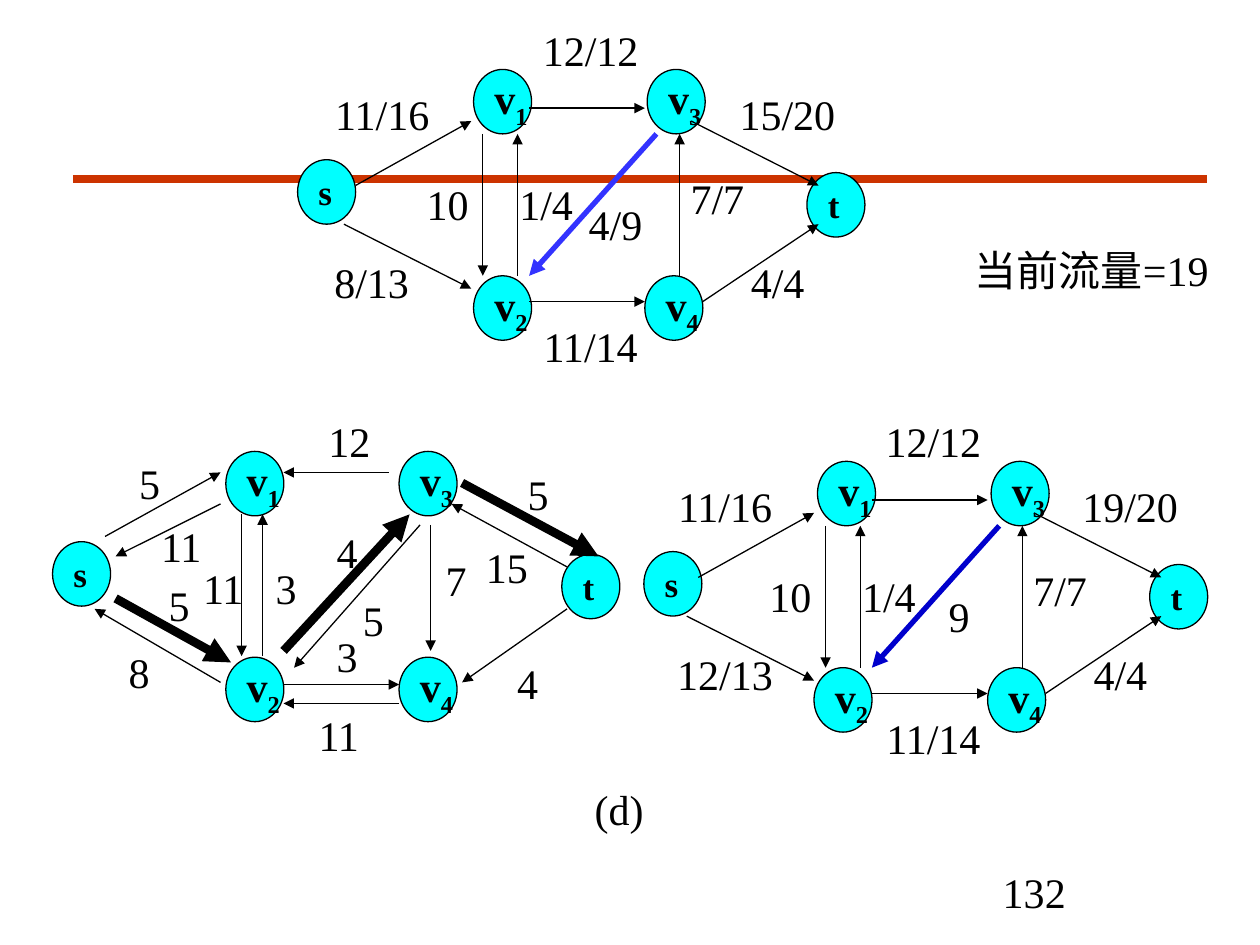
from lxml import etree
from pptx import Presentation
from pptx.dml.color import RGBColor
from pptx.enum.shapes import MSO_CONNECTOR, MSO_SHAPE
from pptx.enum.text import MSO_ANCHOR, MSO_AUTO_SIZE, PP_ALIGN
from pptx.oxml.ns import qn
from pptx.util import Cm, Pt

STRAIGHT, OVAL = MSO_CONNECTOR.STRAIGHT, MSO_SHAPE.OVAL
LEFT, CENTER = PP_ALIGN.LEFT, PP_ALIGN.CENTER
TOP, MIDDLE = MSO_ANCHOR.TOP, MSO_ANCHOR.MIDDLE
FIT, NO_FIT = MSO_AUTO_SIZE.SHAPE_TO_FIT_TEXT, MSO_AUTO_SIZE.NONE

THEME = {
    "font": "Times New Roman", "ink": "000000", "node": "00FFFF", "rule": "CC3300",
    "flow": "3333FF", "new_flow": "0000CC",
    "text": 24, "terminal": 20, "sub": -25000,
    "thin": 0.75, "changed": 3, "path": 5, "divider": 4.5,
}
NODE_W, NODE_H = 1.17, 1.3
LABEL_H = 1.27
INSETS, DIGIT_W, SLASH_W = 0.52, 0.43, 0.24

FLOW_STEP = (10.5 / 45, 4.16 / 16)
FLOW_EDGES = [
    (5, 9, 15, 4), (20, 3, 30, 3), (34, 4, 45, 9), (4, 12, 15, 17),
    (20, 18, 30, 18), (35, 18, 45, 12), (16, 5, 16, 16), (19, 16, 19, 5),
    (33, 16, 33, 5),
]
FLOW_CHANGED = (31, 5, 20, 16)
FLOW_LABEL_AT = [
    (2, 1), (2, 14), (20, -4), (10, 8), (18, 8),
    (37, 1), (38, 14), (32.8, 7.5), (20, 19),
]


def flow_network(origin, xs, capacities, changed, color):
    ys = (7, 16, 16, 8, 0, 0)
    return {
        "origin": origin, "step": FLOW_STEP,
        "nodes": list(zip(("s", "v2", "v4", "t", "v3", "v1"), xs, ys)),
        "edges": [(e, "ink", "thin") for e in FLOW_EDGES] + [(FLOW_CHANGED, color, "changed")],
        "labels": [(t, *at) for t, at in zip(capacities, FLOW_LABEL_AT)] + [changed],
    }


RESIDUAL_THIN = [
    (5, 8.1, 16, 2), (22, 22.2, 33, 22.2), (18, 6, 18, 19.5), (20, 19.5, 20, 6),
    (35, 7, 23, 20.6), (16, 5, 6, 10), (32, 2, 22, 2), (33, 24, 22, 24),
    (36, 7, 36, 19), (49, 15, 39, 22), (49, 11, 38, 5), (16, 22, 4, 15),
]
AUGMENTING_PATH = [(39, 3, 52, 10), (6, 14, 17, 20.1), (22, 19, 34, 6)]

NETWORKS = [
    {
        "origin": (1.06, 9.1), "step": (2.54 / 12, 2.54 / 12),
        "nodes": [("s", 0, 8.6), ("v2", 16.5, 19.6), ("v4", 33, 19.6),
                  ("t", 48.5, 9.8), ("v3", 33, 0), ("v1", 16.5, 0)],
        "edges": [(e, "ink", "thin") for e in RESIDUAL_THIN]
        + [(e, "ink", "path") for e in AUGMENTING_PATH],
        "labels": [
            ("5", 28.3, 13), ("5", 7, 0), ("8", 6, 18), ("11", 13, 10), ("3", 20, 10),
            ("4", 43, 19), ("7", 36.2, 9.2), ("11", 24, 24), ("11", 9, 6), ("12", 25, -4),
            ("4", 25.8, 6.6), ("3", 25.8, 16.5), ("5", 44, 1), ("15", 40, 8),
            ("5", 9.8, 11.6),
        ],
    },
    flow_network((12.91, 9.3), (0.3, 15, 30, 44, 30.3, 15.3),
                 ["11/16", "12/13", "12/12", "10", "1/4", "19/20", "4/4", "7/7", "11/14"],
                 ("9", 25.5, 9.5), "new_flow"),
    flow_network((6, 1.4), (0, 15.2, 30, 44, 30.2, 15.2),
                 ["11/16", "8/13", "12/12", "10", "1/4", "15/20", "4/4", "7/7", "11/14"],
                 ("4/9", 24, 9.5), "flow"),
]
DIVIDER = (1.47, 3.61, 24.33, 3.61)
CAPTIONS = [
    ("132", 18.21, 17.35, 5.28, NO_FIT),
    ("(d)", 11.73, 15.67, 1.5, FIT),
    ("当前流量=19", 19.1, 4.8, 5.82, FIT),
]


def rgb(name):
    return RGBColor.from_string(THEME[name])


def write(sp, text, size="text", bold=False, align=CENTER, anchor=TOP, wrap=False,
          fit=NO_FIT, sub=""):
    tf = sp.text_frame
    tf.word_wrap, tf.auto_size, tf.vertical_anchor = wrap, fit, anchor
    p = tf.paragraphs[0]
    p.alignment = align
    for part in filter(None, (text, sub)):
        r = p.add_run()
        r.text = part
        r.font.name, r.font.size, r.font.bold = THEME["font"], Pt(THEME[size]), bold
        r.font.color.rgb = rgb("ink")
    if sub:
        r._r.get_or_add_rPr().set("baseline", str(THEME["sub"]))


def add_line(s, ends, color, width, arrow=True):
    cx = s.shapes.add_connector(STRAIGHT, *(Cm(v) for v in ends))
    cx.line.color.rgb, cx.line.width = rgb(color), Pt(THEME[width])
    if arrow:
        etree.SubElement(cx.line._get_or_add_ln(), qn("a:tailEnd"), type="triangle")
    etree.SubElement(cx._element.spPr, qn("a:effectLst"))


def add_label(s, text, x, y, w, **fmt):
    write(s.shapes.add_textbox(Cm(x), Cm(y), Cm(w), Cm(LABEL_H)), text, **fmt)


def add_node(s, name, x, y):
    sp = s.shapes.add_shape(OVAL, Cm(x), Cm(y), Cm(NODE_W), Cm(NODE_H))
    sp.shadow.inherit = False
    sp.fill.solid()
    sp.fill.fore_color.rgb = rgb("node")
    sp.line.color.rgb, sp.line.width = rgb("ink"), Pt(THEME["thin"])
    write(sp, name[0], size="text" if name[1:] else "terminal", bold=True,
          align=LEFT, anchor=MIDDLE, sub=name[1:])


def add_network(s, net):
    (ox, oy), (dx, dy) = net["origin"], net["step"]

    def place(x, y):
        return ox + x * dx, oy + y * dy

    for name, x, y in net["nodes"]:
        add_node(s, name, *place(x, y))
    for ends, color, width in net["edges"]:
        add_line(s, place(*ends[:2]) + place(*ends[2:]), color, width)
    for text, x, y in net["labels"]:
        slashes = text.count("/")
        w = INSETS + DIGIT_W * (len(text) - slashes) + SLASH_W * slashes
        add_label(s, text, *place(x, y), w, fit=FIT)


def main():
    prs = Presentation()
    prs.slide_width, prs.slide_height = Cm(25.4), Cm(19.05)
    s = prs.slides.add_slide(prs.slide_layouts[6])
    add_line(s, DIVIDER, "rule", "divider", arrow=False)
    for net in NETWORKS:
        add_network(s, net)
    for text, x, y, w, fit in CAPTIONS:
        add_label(s, text, x, y, w, fit=fit, wrap=True)
    prs.save("out.pptx")


if __name__ == "__main__":
    main()
